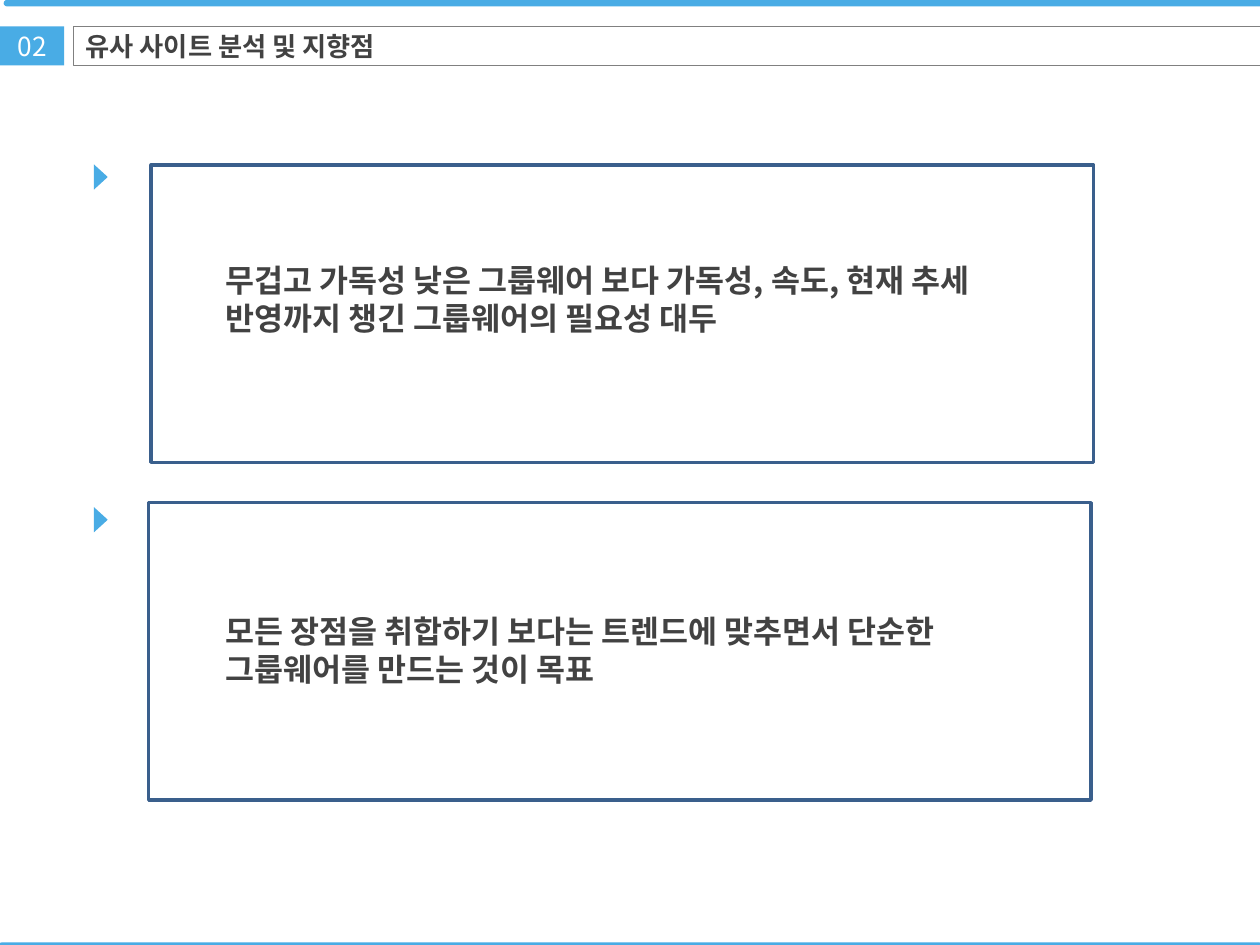
"""Build the slide on similar-site analysis and direction."""
from lxml import etree
from pptx import Presentation
from pptx.dml.color import RGBColor
from pptx.enum.shapes import MSO_SHAPE
from pptx.enum.text import MSO_ANCHOR, PP_ALIGN
from pptx.oxml.ns import qn
from pptx.util import Inches, Pt

RECT = MSO_SHAPE.RECTANGLE
ROUNDED = MSO_SHAPE.ROUNDED_RECTANGLE
EXTRACT = MSO_SHAPE.FLOWCHART_EXTRACT
LEFT, CENTER = PP_ALIGN.LEFT, PP_ALIGN.CENTER
MIDDLE = MSO_ANCHOR.MIDDLE
FONT = "Noto Sans CJK KR"
BLUE, NAVY, GRAY, DARK, WHITE = "49ACE5", "3A5F8C", "808080", "424242", "FFFFFF"

prs = Presentation()
prs.slide_width, prs.slide_height = Inches(10), Inches(7.5)
s = prs.slides.add_slide(prs.slide_layouts[5])


def add_box(kind, x, y, w, h, fill=None, line=None, width=0):
    sp = s.shapes.add_shape(kind, Inches(x), Inches(y), Inches(w), Inches(h))
    sp.shadow.inherit = False
    if fill:
        sp.fill.solid()
        sp.fill.fore_color.rgb = RGBColor.from_string(fill)
    else:
        sp.fill.background()
    if line:
        sp.line.color.rgb = RGBColor.from_string(line)
        sp.line.width = Pt(width)
    else:
        sp.line.fill.background()
    return sp


def write(sp, text, size, color, bold=False, align=LEFT, wrap=True):
    tf = sp.text_frame
    tf.word_wrap = wrap
    p = tf.paragraphs[0]
    p.alignment = align
    r = p.add_run()
    r.text = text
    r.font.name, r.font.size, r.font.bold = FONT, Pt(size), bold
    r.font.color.rgb = RGBColor.from_string(color)
    etree.SubElement(r.font._element, qn("a:ea"), typeface=FONT)
    return tf


number = add_box(RECT, 0, 0.21, 0.51, 0.31, BLUE)
tf = write(number, "02", 15, WHITE, align=CENTER, wrap=False)
tf.vertical_anchor = MIDDLE
add_box(RECT, 0.58, 0.21, 9.74, 0.31, line=GRAY, width=0.25)

title = s.shapes.title
title.left, title.top = Inches(0.58), Inches(0.19)
title.width, title.height = Inches(2.75), Inches(0.35)
tf = write(title, "유사 사이트 분석 및 지향점", 15, DARK, bold=True, wrap=False)
tf.vertical_anchor = MIDDLE

for x, y in ((0.03, 0), (-0.01, 7.48)):
    bar = add_box(ROUNDED, x, y, 10.03, 0.05, BLUE)
    bar.adjustments[0] = 0.47

PANELS = (
    (1.2, 1.31, 1.35, 2.02,
     "무겁고 가독성 낮은 그룹웨어 보다 가독성, 속도, 현재 추세 반영까지 챙긴 그룹웨어의 필요성 대두"),
    (1.18, 3.99, 4.07, 4.81,
     "모든 장점을 취합하기 보다는 트렌드에 맞추면서 단순한 그룹웨어를 만드는 것이 목표"),
)
for x, y, marker_y, text_y, text in PANELS:
    add_box(RECT, x, y, 7.48, 2.36, WHITE, NAVY, 2)
    marker = add_box(EXTRACT, 0.7, marker_y, 0.2, 0.11, BLUE)
    marker.rotation = 90
    tb = s.shapes.add_textbox(Inches(1.69), Inches(text_y), Inches(6.46), Inches(0.71))
    write(tb, text, 18, DARK, bold=True)

prs.save("out.pptx")
